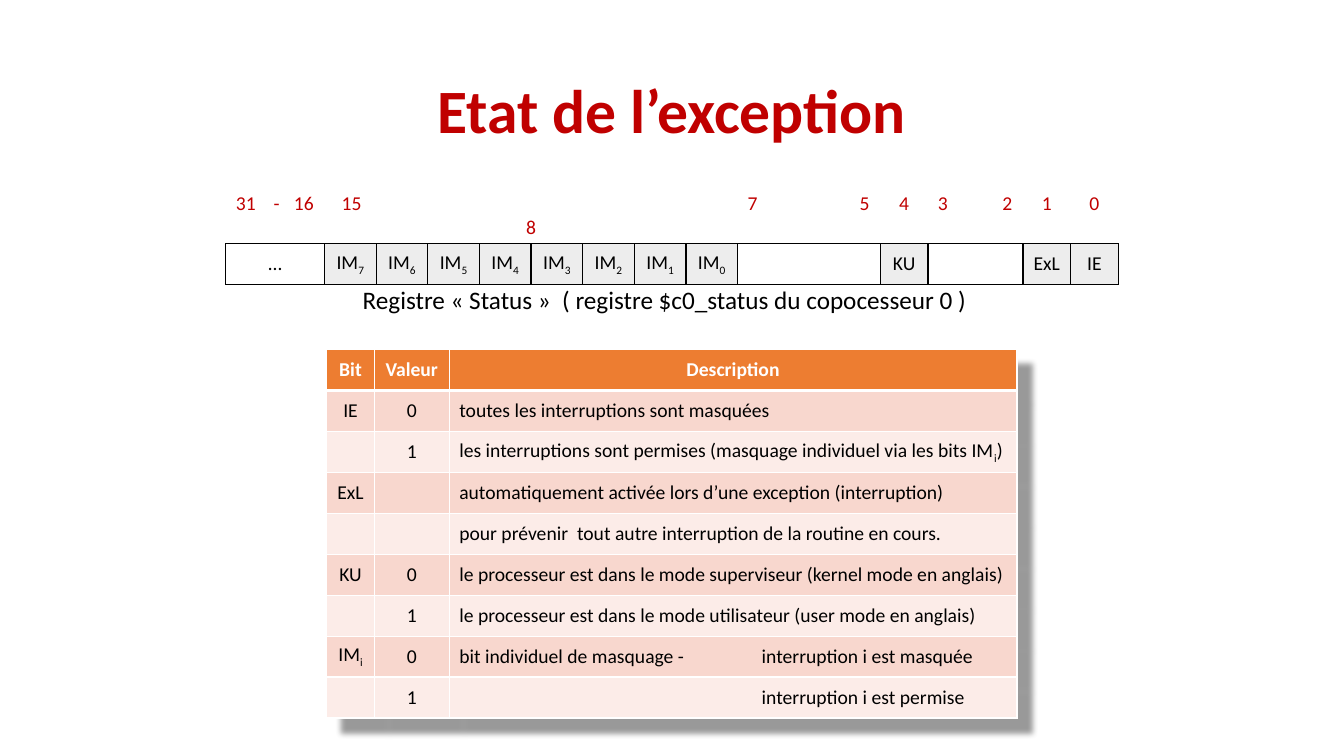
"""Build the slide describing the exception status register."""
from lxml.etree import SubElement, Element
from pptx import Presentation
from pptx.dml.color import RGBColor
from pptx.enum.text import MSO_ANCHOR as Anchor, PP_ALIGN as Align
from pptx.oxml.ns import qn
from pptx.util import Pt

TITLE = "Etat de l’exception"
CAPTION = "Registre « Status »  ( registre $c0_status du copocesseur 0 )"
RED, BLACK, WHITE, ORANGE, GREY = "C00000", "000000", "FFFFFF", "ED7D31", "BFBFBF"
BANDS = ["F8D7CE", "FCECE8"]
NO_STYLE = "{2D5ABB26-0587-4C30-8999-92F81FD0307C}"
ROW_HEIGHT = 29.25

FIELDS = (
    [("…", 70.5)]
    + [(f"IM~{bit}~", 36.9) for bit in range(7, -1, -1)]
    + [("", 102), ("KU", 34), ("", 68), ("ExL", 34), ("IE", 34)]
)
BIT_NUMBERS = [
    (0, "31\t-\t16", [27, 41.5]),
    (9, "7\t5", [80]),
    (10, "4", []),
    (11, "3\t2", [46]),
    (12, "1", []),
    (13, "0", []),
]
MASK_FIRST, MASK_LAST = 1, 8
DESCRIPTION_WIDTHS = [34, 53.5, 405.5]
DESCRIPTIONS = [
    ("Bit", "Valeur", "Description"),
    ("IE", "0", "toutes les interruptions sont masquées"),
    ("", "1", "les interruptions sont permises (masquage individuel via les bits IM~i~)"),
    ("ExL", "", "automatiquement activée lors d’une exception (interruption)"),
    ("", "", "pour prévenir  tout autre interruption de la routine en cours."),
    ("KU", "0", "le processeur est dans le mode superviseur (kernel mode en anglais)"),
    ("", "1", "le processeur est dans le mode utilisateur (user mode en anglais)"),
    ("IM~i~", "0", "bit individuel de masquage - \tinterruption i est masquée"),
    ("", "1", "\tinterruption i est permise"),
]


def color(value):
    return RGBColor.from_string(value)


def write(paragraph, text, size=14, fill=BLACK, bold=False, align=Align.CENTER, tabs=(), indent=0):
    paragraph.alignment = align
    properties = paragraph._p.get_or_add_pPr()
    if indent:
        properties.set("marL", str(Pt(indent)))
    if tabs:
        tab_list = SubElement(properties, qn("a:tabLst"))
        for position in tabs:
            SubElement(tab_list, qn("a:tab"), pos=str(Pt(position)), algn="l")
    for index, part in enumerate(text.split("~")):
        if not part:
            continue
        run = paragraph.add_run()
        run.text = part
        run.font.name, run.font.size, run.font.bold = "Calibri", Pt(size), bold
        run.font.color.rgb = color(fill)
        if index % 2:
            run._r.get_or_add_rPr().set("baseline", "-25000")


def add_box(slide, left, top, width, height, anchor):
    frame = slide.shapes.add_textbox(Pt(left), Pt(top), Pt(width), Pt(height)).text_frame
    frame.word_wrap = True
    frame.vertical_anchor = anchor
    return frame.paragraphs[0]


def add_grid(slide, left, top, widths, rows):
    table = slide.shapes.add_table(
        rows, len(widths), Pt(left), Pt(top), Pt(sum(widths)), Pt(rows * ROW_HEIGHT)
    ).table
    for column, width in zip(table.columns, widths):
        column.width = Pt(width)
    for row in table.rows:
        row.height = Pt(ROW_HEIGHT)
    table._tbl.tblPr.find(qn("a:tableStyleId")).text = NO_STYLE
    for cell in table.iter_cells():
        cell.fill.background()
    return table


def fill_cell(cell, fill, alpha=None):
    cell.fill.solid()
    cell.fill.fore_color.rgb = color(fill)
    if alpha:
        tint = cell._tc.tcPr.find(qn("a:solidFill"))[0]
        SubElement(tint, qn("a:alpha"), val=str(alpha * 1000))


def border(cell, line, top=1, bottom=1):
    for index, (side, width) in enumerate(zip("LRTB", (1, 1, top, bottom))):
        edge = Element(qn(f"a:ln{side}"), w=str(Pt(width)))
        SubElement(SubElement(edge, qn("a:solidFill")), qn("a:srgbClr"), val=line)
        cell._tc.get_or_add_tcPr().insert(index, edge)


def add_shadow(table):
    effects = Element(qn("a:effectLst"))
    shadow = SubElement(
        effects, qn("a:outerShdw"), blurRad=str(Pt(4)), dist=str(Pt(15)), dir="2700000", algn="tl"
    )
    tint = SubElement(shadow, qn("a:srgbClr"), val=BLACK)
    SubElement(tint, qn("a:alpha"), val="40000")
    table._tbl.tblPr.insert(0, effects)


def add_register(slide):
    table = add_grid(slide, 161.3, 133.2, [width for _, width in FIELDS], 2)
    for column, text, tabs in BIT_NUMBERS:
        align = Align.LEFT if tabs else Align.CENTER
        write(table.cell(0, column).text_frame.paragraphs[0], text, fill=RED, align=align, tabs=tabs)
    mask = table.cell(0, MASK_FIRST)
    mask.merge(table.cell(0, MASK_LAST))
    write(mask.text_frame.paragraphs[0], "15", fill=RED, align=Align.LEFT, indent=5)
    write(mask.text_frame.add_paragraph(), "8", fill=RED)
    for column, (text, _) in enumerate(FIELDS):
        cell = table.cell(1, column)
        cell.vertical_anchor = Anchor.MIDDLE
        write(cell.text_frame.paragraphs[0], text)
        if column and text:
            fill_cell(cell, GREY, alpha=28)
        border(cell, BLACK)


def add_descriptions(slide):
    table = add_grid(slide, 233.4, 249.8, DESCRIPTION_WIDTHS, len(DESCRIPTIONS))
    add_shadow(table)
    for row, texts in enumerate(DESCRIPTIONS):
        header = row == 0
        for column, text in enumerate(texts):
            cell = table.cell(row, column)
            cell.vertical_anchor = Anchor.MIDDLE
            write(
                cell.text_frame.paragraphs[0],
                text,
                fill=WHITE if header else BLACK,
                bold=header,
                align=Align.CENTER if header or column < 2 else Align.LEFT,
                tabs=[216] if "\t" in text else [],
            )
            fill_cell(cell, ORANGE if header else BANDS[(row - 1) % 2])
            border(cell, WHITE, top=3 if row == 1 else 1, bottom=3 if header else 1)


def main():
    presentation = Presentation()
    presentation.slide_width, presentation.slide_height = Pt(960), Pt(540)
    slide = presentation.slides.add_slide(presentation.slide_layouts[6])
    title = add_box(slide, 66, 28.8, 828, 104.4, Anchor.MIDDLE)
    title.line_spacing = 0.9
    write(title, TITLE, size=44, fill=RED, bold=True)
    add_register(slide)
    caption = add_box(slide, 252, 199.4, 456.5, 29, Anchor.TOP)
    write(caption, CAPTION, size=18, align=Align.LEFT)
    add_descriptions(slide)
    presentation.save("out.pptx")


if __name__ == "__main__":
    main()
